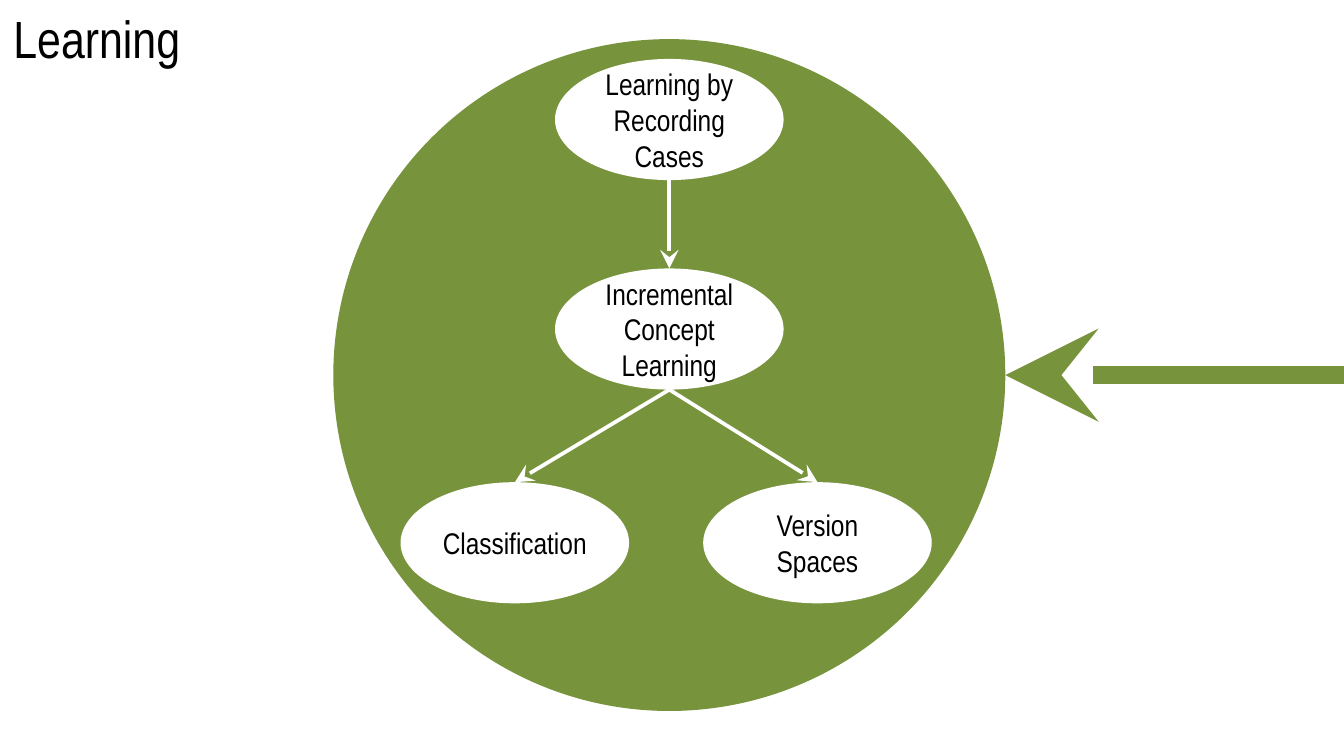
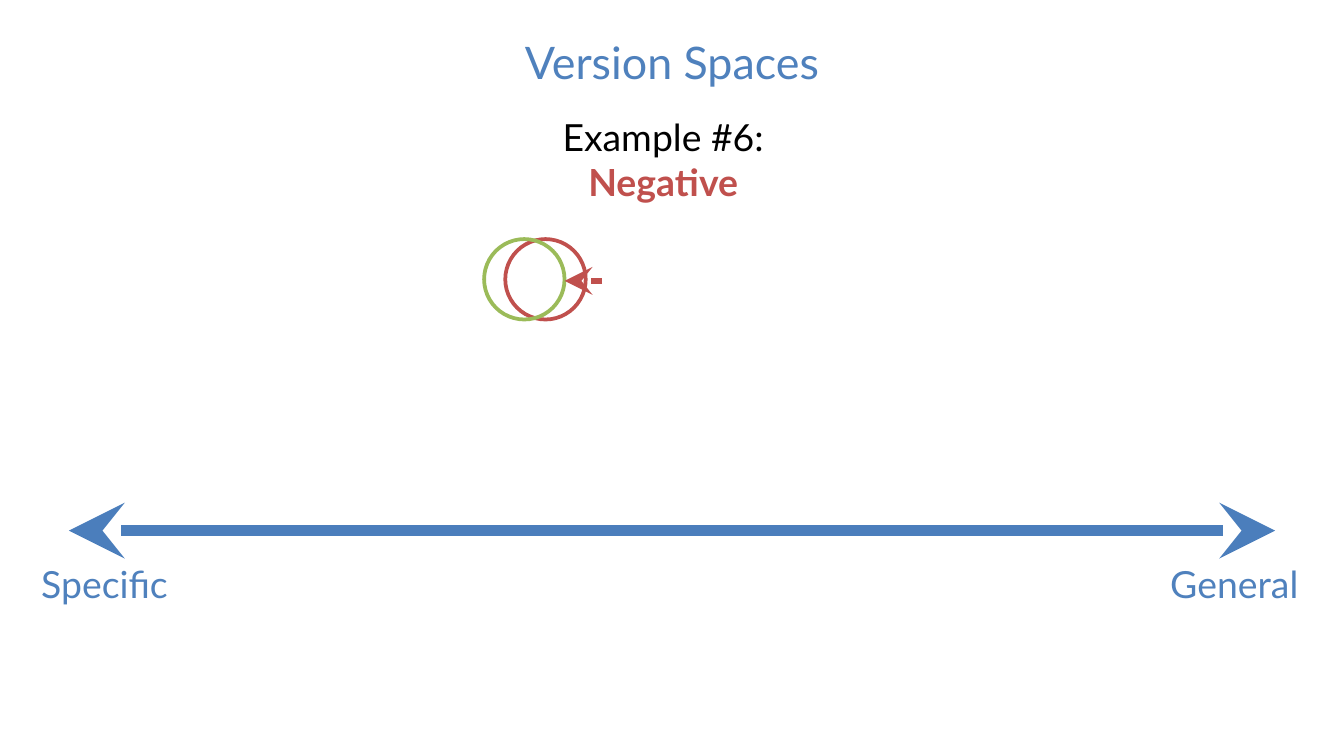
from lxml import etree
from pptx import Presentation
from pptx.dml.color import RGBColor
from pptx.enum import shapes, text
from pptx.oxml import ns
from pptx.util import Cm, Pt

BLACK = RGBColor(0x00, 0x00, 0x00)
WHITE = RGBColor(0xFF, 0xFF, 0xFF)
OLIVE = RGBColor(0x77, 0x93, 0x3C)
GREEN = RGBColor(0x9B, 0xBB, 0x59)
RED = RGBColor(0xC0, 0x50, 0x4D)
BLUE = RGBColor(0x4F, 0x81, 0xBD)
AXIS_BLUE = RGBColor(0x4B, 0x7E, 0xBC)
NARROW = "Arial Narrow"
LATO = "Lato"
LEFT, CENTER, RIGHT = text.PP_ALIGN.LEFT, text.PP_ALIGN.CENTER, text.PP_ALIGN.RIGHT


def add_ellipse(slide, center, size, fill=None, outline=None):
    """Add an ellipse around a centre point; lengths are in centimetres."""
    (x, y), (width, height) = center, size
    ellipse = slide.shapes.add_shape(
        shapes.MSO_SHAPE.OVAL,
        Cm(x - width / 2), Cm(y - height / 2), Cm(width), Cm(height))
    ellipse.shadow.inherit = False
    if fill is None:
        ellipse.fill.background()
    else:
        ellipse.fill.solid()
        ellipse.fill.fore_color.rgb = fill
    if outline is None:
        ellipse.line.fill.background()
    else:
        ellipse.line.color.rgb = outline
        ellipse.line.width = Pt(2)
    return ellipse


def add_arrow(slide, start, end, color, width, ends=("tailEnd",)):
    """Add a straight line with large stealth arrowheads at the named ends."""
    arrow = slide.shapes.add_connector(
        shapes.MSO_CONNECTOR.STRAIGHT, *(Cm(value) for value in (*start, *end)))
    arrow.line.color.rgb = color
    arrow.line.width = Pt(width)
    properties = arrow.element.spPr
    outline = properties.find(ns.qn("a:ln"))
    for name in ends:
        etree.SubElement(outline, ns.qn("a:" + name), type="stealth", w="lg", len="lg")
    etree.SubElement(properties, ns.qn("a:effectLst"))


presentation = Presentation()
presentation.slide_width, presentation.slide_height = Cm(25.4), Cm(14.29)
title_only = presentation.slide_layouts[5]

# Slide 1: map of the learning topics
learning = presentation.slides.add_slide(title_only)
disc_center, disc_size = (12.65, 7.09), 12.7
disc_edge = (disc_center[0] + disc_size / 2, disc_center[1])
add_arrow(learning, (25.4, disc_center[1]), disc_edge, OLIVE, 10)
add_ellipse(learning, disc_center, (disc_size, disc_size), OLIVE)

topic_size = (4.32, 2.29)
topics = {
    "Learning by Recording Cases": (12.65, 2.26),
    "Incremental Concept Learning": (12.65, 6.22),
    "Version Spaces": (15.45, 10.26),
    "Classification": (9.73, 10.26),
}
for name, center in topics.items():
    frame = add_ellipse(learning, center, topic_size, WHITE).text_frame
    frame.margin_left = frame.margin_right = frame.margin_top = frame.margin_bottom = 0
    frame.word_wrap = True
    frame.vertical_anchor = text.MSO_ANCHOR.MIDDLE
    paragraph = frame.paragraphs[0]
    paragraph.text = name
    paragraph.alignment = CENTER
    paragraph.font.name, paragraph.font.size = NARROW, Pt(16)
    paragraph.font.color.rgb = BLACK

for source, target in (
    ("Learning by Recording Cases", "Incremental Concept Learning"),
    ("Incremental Concept Learning", "Classification"),
    ("Incremental Concept Learning", "Version Spaces"),
):
    (x1, y1), (x2, y2) = topics[source], topics[target]
    half = topic_size[1] / 2
    add_arrow(learning, (x1, y1 + half), (x2, y2 - half), WHITE, 2)

# Slide 2: version space of the sixth example
versions = presentation.slides.add_slide(title_only)
add_arrow(versions, (1.3, 10.03), (24.1, 10.03), AXIS_BLUE, 6, ("headEnd", "tailEnd"))
add_ellipse(versions, (10.31, 5.28), (1.52, 1.52), WHITE, RED)
add_ellipse(versions, (9.91, 5.28), (1.52, 1.52), None, GREEN)
add_arrow(versions, (11.38, 5.31), (10.67, 5.31), RED, 3)

# Titles and labels: shape, box in centimetres, runs, font, size, alignment, wrap
labels = (
    (learning.shapes.title, (0, 0, 10.74, 1.45),
     [("Learning", BLACK, False)], NARROW, 28, LEFT, True),
    (versions.shapes.title, (0, 0.53, 25.4, 1.27),
     [("Version Spaces", BLUE, False)], LATO, 24, CENTER, True),
    (None, (9.07, 2.03, 6.93, 1.96),
     [("Example #6: ", BLACK, False), ("Negative", RED, True)], LATO, 20, CENTER, True),
    (None, (0.53, 10.49, 3.2, 1.12),
     [("Specific", BLUE, False)], LATO, 20, LEFT, False),
    (None, (21.54, 10.49, 3.25, 1.12),
     [("General", BLUE, False)], LATO, 20, RIGHT, False),
)
for shape, box, runs, font_name, size, alignment, wrap in labels:
    left, top, width, height = (Cm(value) for value in box)
    if shape is None:
        shape = versions.shapes.add_textbox(left, top, width, height)
    shape.left, shape.top, shape.width, shape.height = left, top, width, height
    frame = shape.text_frame
    frame.word_wrap = wrap
    frame.auto_size = text.MSO_AUTO_SIZE.NONE
    frame.vertical_anchor = text.MSO_ANCHOR.TOP
    paragraph = frame.paragraphs[0]
    paragraph.alignment = alignment
    paragraph.font.name, paragraph.font.size = font_name, Pt(size)
    for words, color, bold in runs:
        run = paragraph.add_run()
        run.text = words
        run.font.color.rgb = color
        run.font.bold = bold

presentation.save("out.pptx")
